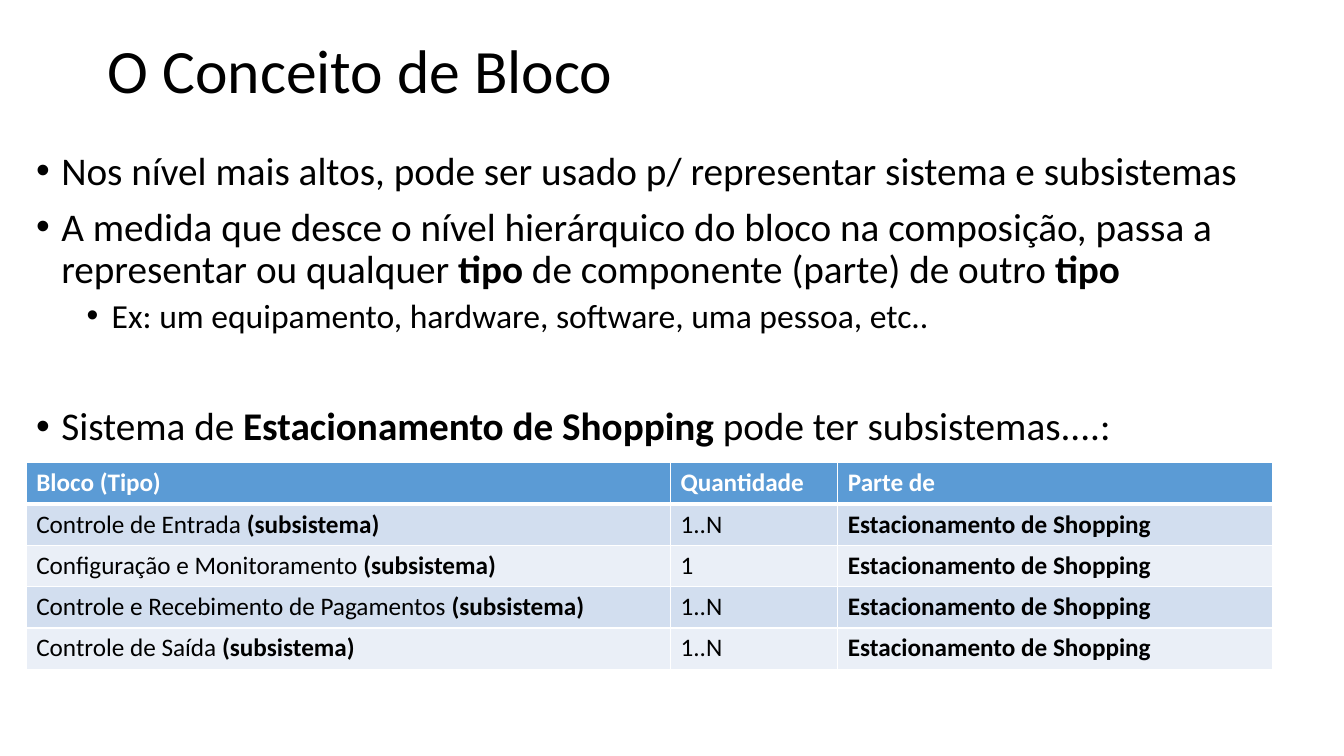
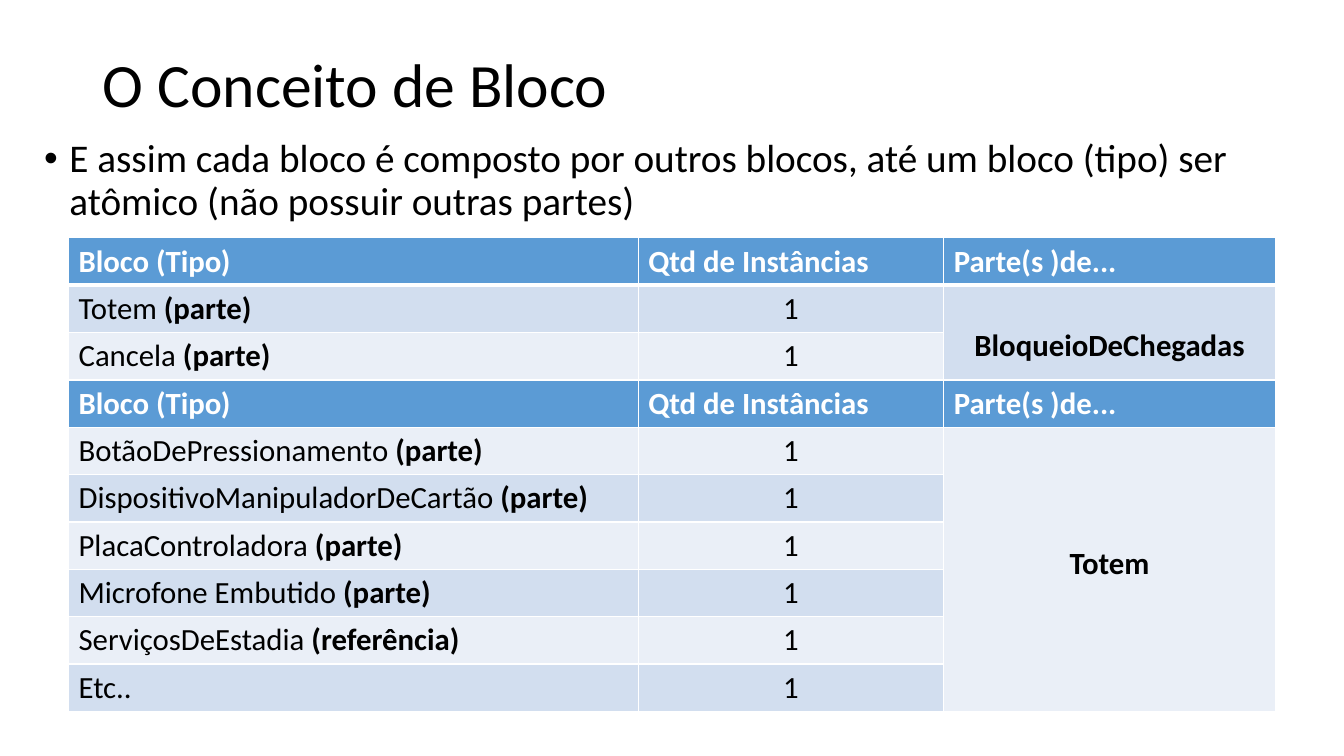
"""Two slides on the concept of a block, with its parts shown in tables."""
from dataclasses import dataclass

from lxml import etree
from pptx import Presentation
from pptx import util as u
from pptx.dml.color import RGBColor
from pptx.enum import text
from pptx.oxml import ns


@dataclass(frozen=True)
class Theme:
    font: str = "Calibri"
    bullet_font: str = "Arial"
    ink: str = "000000"
    paper: str = "FFFFFF"
    header: str = "5B9BD5"
    bands: tuple[str, str] = ("EAEFF7", "D2DEEF")
    title_size: int = 44
    bullet_sizes: tuple[int, int] = (28, 24)
    line_spacing: float = 0.9
    rule: int = 1
    header_rule: int = 3


THEME = Theme()


@dataclass(frozen=True)
class Box:
    left: float
    top: float
    width: float
    height: float

    def emu(self) -> tuple[int, ...]:
        return tuple(u.Inches(v) for v in (self.left, self.top, self.width, self.height))


@dataclass(frozen=True)
class Phrase:
    text: str
    bold: bool = False


@dataclass(frozen=True)
class Bullet:
    phrases: tuple[Phrase, ...]
    level: int = 0
    space_before: int = 10


@dataclass(frozen=True)
class Entry:
    phrases: tuple[Phrase, ...]
    centred: bool = False
    rows: int = 1
    margin_top: float = 0.05


@dataclass(frozen=True)
class Row:
    entries: tuple[Entry, ...]
    is_header: bool = False


@dataclass(frozen=True)
class Grid:
    left: float
    top: float
    columns: tuple[float, ...]
    row_height: float
    size: int
    rows: tuple[Row, ...]


def add_phrases(paragraph, phrases: tuple[Phrase, ...], size: int, colour: str) -> None:
    for phrase in phrases:
        run = paragraph.add_run()
        run.text = phrase.text
        run.font.name = THEME.font
        run.font.size = u.Pt(size)
        run.font.bold = phrase.bold
        run.font.color.rgb = RGBColor.from_string(colour)


def add_titled_slide(deck, title: str, box: Box):
    slide = deck.slides.add_slide(deck.slide_layouts[5])
    heading = slide.shapes.title
    heading.left, heading.top, heading.width, heading.height = box.emu()
    frame = heading.text_frame
    frame.auto_size = text.MSO_AUTO_SIZE.NONE
    frame.vertical_anchor = text.MSO_ANCHOR.MIDDLE
    paragraph = frame.paragraphs[0]
    paragraph.alignment = text.PP_ALIGN.LEFT
    paragraph.line_spacing = THEME.line_spacing
    add_phrases(paragraph, (Phrase(title),), THEME.title_size, THEME.ink)
    return slide


def add_bullets(slide, box: Box, bullets: tuple[Bullet, ...]) -> None:
    frame = slide.shapes.add_textbox(*box.emu()).text_frame
    frame.word_wrap = True
    for index, bullet in enumerate(bullets):
        paragraph = frame.add_paragraph() if index else frame.paragraphs[0]
        paragraph.level = bullet.level
        paragraph.line_spacing = THEME.line_spacing
        paragraph.space_before = u.Pt(bullet.space_before if index else 0)
        properties = paragraph._p.get_or_add_pPr()
        properties.set("marL", str(u.Inches(0.25 + 0.5 * bullet.level)))
        properties.set("indent", str(u.Inches(-0.25)))
        etree.SubElement(properties, ns.qn("a:buFont"), typeface=THEME.bullet_font)
        etree.SubElement(properties, ns.qn("a:buChar"), char="•")
        add_phrases(paragraph, bullet.phrases, THEME.bullet_sizes[bullet.level], THEME.ink)


def style_cell(cell, fill: str, top_rule: int, bottom_rule: int) -> None:
    properties = cell._tc.get_or_add_tcPr()
    rules = {"L": THEME.rule, "R": THEME.rule, "T": top_rule, "B": bottom_rule}
    for side, width in rules.items():
        line = etree.SubElement(properties, ns.qn(f"a:ln{side}"), w=str(u.Pt(width)))
        solid = etree.SubElement(line, ns.qn("a:solidFill"))
        etree.SubElement(solid, ns.qn("a:srgbClr"), val=THEME.paper)
    cell.fill.solid()
    cell.fill.fore_color.rgb = RGBColor.from_string(fill)


def add_grid(slide, grid: Grid) -> None:
    box = Box(grid.left, grid.top, sum(grid.columns), grid.row_height * len(grid.rows))
    table = slide.shapes.add_table(len(grid.rows), len(grid.columns), *box.emu()).table
    table.first_row = table.horz_banding = False
    for column, width in zip(table.columns, grid.columns):
        column.width = u.Inches(width)
    for r, row in enumerate(grid.rows):
        table.rows[r].height = u.Inches(grid.row_height)
        fill = THEME.header if row.is_header else THEME.bands[r % 2]
        for c in range(len(grid.columns)):
            style_cell(
                table.cell(r, c),
                fill,
                THEME.header_rule if r == 1 else THEME.rule,
                THEME.header_rule if r == 0 else THEME.rule,
            )
        for c, entry in enumerate(row.entries):
            cell = table.cell(r, c)
            if entry.rows > 1:
                cell.merge(table.cell(r + entry.rows - 1, c))
            cell.margin_top = u.Inches(entry.margin_top)
            paragraph = cell.text_frame.paragraphs[0]
            if entry.centred:
                paragraph.alignment = text.PP_ALIGN.CENTER
            colour = THEME.paper if row.is_header else THEME.ink
            add_phrases(paragraph, entry.phrases, grid.size, colour)


def header_row(*labels: str) -> Row:
    return Row(tuple(Entry((Phrase(label, True),)) for label in labels), True)


def block_entry(name: str, kind: str = "") -> Entry:
    if not kind:
        return Entry((Phrase(name),))
    return Entry((Phrase(f"{name} "), Phrase(f"({kind})", True)))


def subsystem_row(name: str, quantity: str) -> Row:
    owner = Entry((Phrase("Estacionamento de Shopping", True),))
    return Row((block_entry(name, "subsistema"), Entry((Phrase(quantity),)), owner))


def part_row(name: str, kind: str = "parte", *owner: Entry) -> Row:
    return Row((block_entry(name, kind), Entry((Phrase("1"),), centred=True), *owner))


def owner_entry(name: str, rows: int, margin_top: float) -> Entry:
    return Entry((Phrase(name, True),), True, rows, margin_top)


TITLE = "O Conceito de Bloco"
PARTS_HEADER = header_row("Bloco (Tipo)", "Qtd de Instâncias", "Parte(s )de...")

SUBSYSTEM_BULLETS = (
    Bullet((Phrase("Nos nível mais altos, pode ser usado p/ representar sistema e subsistemas"),)),
    Bullet((
        Phrase("A medida que desce o nível hierárquico do bloco na composição, "
               "passa a representar ou qualquer "),
        Phrase("tipo", True),
        Phrase(" de componente (parte) de outro "),
        Phrase("tipo", True),
    )),
    Bullet((Phrase("Ex: um equipamento, hardware, software, uma pessoa, etc.."),), 1, 5),
    Bullet((
        Phrase("Sistema de "),
        Phrase("Estacionamento de Shopping ", True),
        Phrase("pode ter subsistemas....:"),
    ), space_before=51),
)

SUBSYSTEMS = Grid(0.26, 4.59, (6.39, 1.66, 4.31), 0.41, 18, (
    header_row("Bloco (Tipo)", "Quantidade", "Parte de"),
    subsystem_row("Controle de Entrada", "1..N"),
    subsystem_row("Configuração e Monitoramento", "1"),
    subsystem_row("Controle e Recebimento de Pagamentos", "1..N"),
    subsystem_row("Controle de Saída", "1..N"),
))

PART_BULLETS = (
    Bullet((Phrase("E assim cada bloco é composto por outros blocos, até um bloco (tipo) "
                   "ser atômico (não possuir outras partes)"),)),
)

PARTS = Grid(0.68, 2.36, (5.65, 3.03, 3.29), 0.47, 22, (
    PARTS_HEADER,
    part_row("Totem", "parte", owner_entry("BloqueioDeChegadas", 2, 0.42)),
    part_row("Cancela"),
    PARTS_HEADER,
    part_row("BotãoDePressionamento", "parte", owner_entry("Totem", 6, 1.17)),
    part_row("DispositivoManipuladorDeCartão"),
    part_row("PlacaControladora"),
    part_row("Microfone Embutido"),
    part_row("ServiçosDeEstadia", "referência"),
    part_row("Etc..", ""),
))


def main() -> None:
    deck = Presentation()
    deck.slide_width, deck.slide_height = u.Inches(13.33), u.Inches(7.5)

    subsystems = add_titled_slide(deck, TITLE, Box(0.97, 0, 11.5, 1.45))
    add_bullets(subsystems, Box(0.26, 1.45, 12.92, 5.65), SUBSYSTEM_BULLETS)
    add_grid(subsystems, SUBSYSTEMS)

    parts = add_titled_slide(deck, TITLE, Box(0.92, 0.14, 11.5, 1.45))
    add_bullets(parts, Box(0.34, 1.33, 12.65, 5.9), PART_BULLETS)
    add_grid(parts, PARTS)

    deck.save("out.pptx")


if __name__ == "__main__":
    main()
